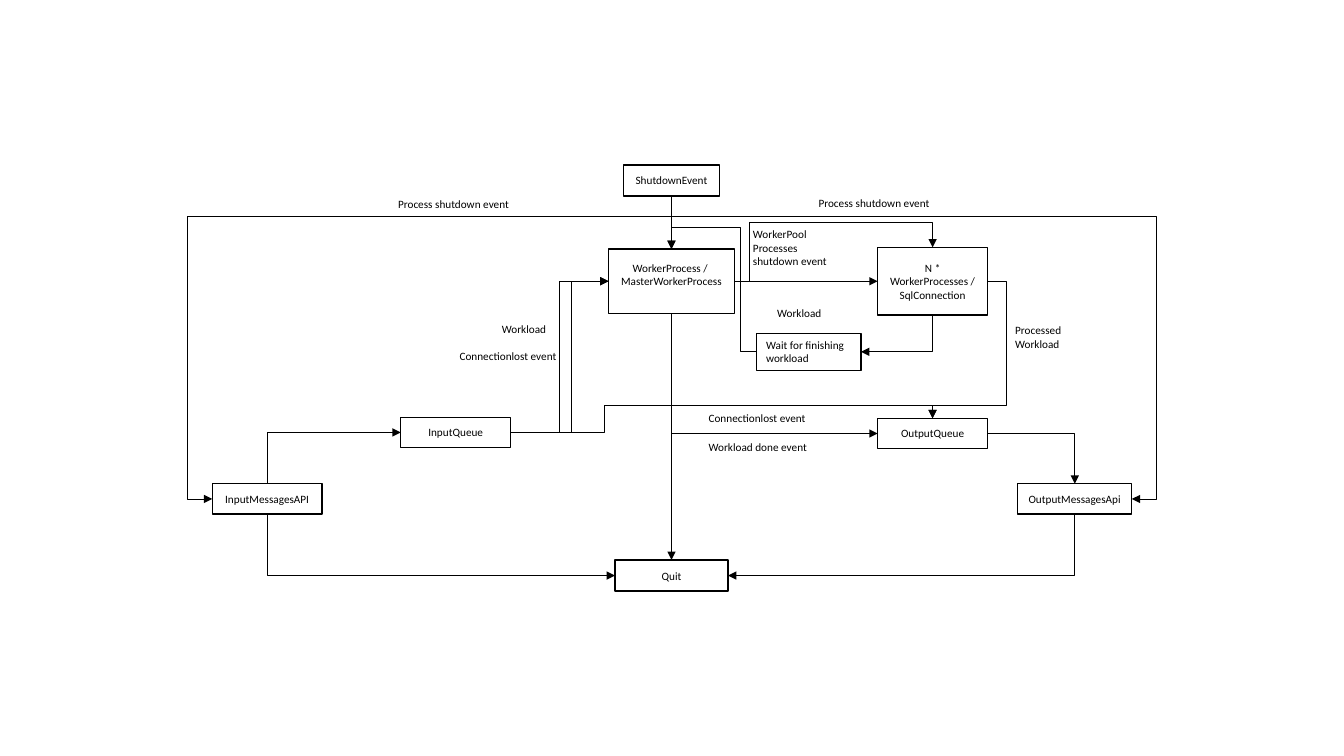
from pptx import Presentation, util as u
from pptx.dml.color import RGBColor
from pptx.enum import shapes, text
from pptx.oxml import ns, xmlchemy

BLACK = RGBColor(0, 0, 0)
WHITE = RGBColor(255, 255, 255)
CELL = u.Inches(0.1)  # the slide is a grid of 133.3 columns by 75 rows
TOP, LEFT, BOTTOM, RIGHT = range(4)  # connection sites of a rectangle

presentation = Presentation()
presentation.slide_width = u.Inches(13.33)
presentation.slide_height = u.Inches(7.5)
slide = presentation.slides.add_slide(presentation.slide_layouts[6])


def write(shape, wording, alignment, anchor):
    frame = shape.text_frame
    frame.word_wrap = True
    frame.vertical_anchor = anchor
    paragraph = frame.paragraphs[0]
    paragraph.alignment = alignment
    for number, line in enumerate(wording.split("\n")):
        if number:
            paragraph.add_line_break()
        run = paragraph.add_run()
        run.text = line
        run.font.size = u.Pt(8)
        run.font.name = "Calibri"
        run.font.color.rgb = BLACK


def connect(start, start_site, end, end_site, turns):
    """Arrow between two boxes; turns are the grid lines it bends on, None is straight."""
    kind = shapes.MSO_CONNECTOR.STRAIGHT if turns is None else shapes.MSO_CONNECTOR.ELBOW
    connector = slide.shapes.add_connector(kind, 0, 0, 0, 0)
    connector.begin_connect(start, start_site)
    connector.end_connect(end, end_site)
    connector.line.color.rgb = BLACK
    connector.line.width = u.Pt(0.5)
    properties = connector._element.spPr
    line = connector.line._get_or_add_ln()
    line.append(xmlchemy.OxmlElement("a:tailEnd"))
    line[-1].set("type", "triangle")
    properties.append(xmlchemy.OxmlElement("a:effectLst"))
    if turns is None:
        return

    # Measure along the first leg, then across it
    begin = [connector.begin_x, connector.begin_y]
    span = [connector.end_x - begin[0], connector.end_y - begin[1]]
    vertical = start_site in (TOP, BOTTOM)
    axes = (1, 0) if vertical else (0, 1)
    geometry = properties.find(ns.qn("a:prstGeom"))
    geometry.set("prst", f"bentConnector{len(turns) + 2}")
    guides = geometry.get_or_add_avLst()
    for number, (turn, axis) in enumerate(zip(turns, axes), 1):
        guide = xmlchemy.OxmlElement("a:gd")
        guide.set("name", f"adj{number}")
        guide.set("fmla", f"val {round((turn * CELL - begin[axis]) / span[axis] * 100000)}")
        guides.append(guide)

    # A connector that leaves vertically is a quarter turn of a horizontal one
    if vertical:
        width, height = abs(span[1]), abs(span[0])
        connector.left = round(begin[0] + span[0] / 2 - width / 2)
        connector.top = round(begin[1] + span[1] / 2 - height / 2)
        connector.width, connector.height = width, height
        frame = properties.find(ns.qn("a:xfrm"))
        frame.set("rot", "5400000")
        frame.set("flipH", str(int(span[1] < 0)))
        frame.set("flipV", str(int(span[0] > 0)))


# Boxes: centre column, centre row, width, height, wording
MIDDLE, POOL = 66.6, 92.5
boxes = {}
for name, column, row, width, height, wording in [
    ("worker", MIDDLE, 27.9, 12.5, 6.4, "WorkerProcess / \nMasterWorkerProcess"),
    ("shutdown", MIDDLE, 17.9, 9.5, 3.1, "ShutdownEvent"),
    ("input api", 26.5, 49.5, 10.9, 3, "InputMessagesAPI"),
    ("output api", 106.6, 49.5, 11.3, 3, "OutputMessagesApi"),
    ("output queue", POOL, 43, 10.9, 3, "OutputQueue"),
    ("input queue", 45.2, 42.9, 10.9, 3, "InputQueue"),
    ("pool", POOL, 27.9, 10.9, 6.7, "N * WorkerProcesses / SqlConnection"),
    ("quit", MIDDLE, 57.1, 11.2, 3.1, "Quit"),
    ("wait", 80.2, 34.9, 10.4, 3.7, "Wait for finishing workload"),
]:
    box = slide.shapes.add_shape(
        shapes.MSO_SHAPE.RECTANGLE, round((column - width / 2) * CELL),
        round((row - height / 2) * CELL), round(width * CELL), round(height * CELL))
    box.shadow.inherit = False
    box.line.color.rgb = BLACK
    if name == "wait":
        box.fill.background()
        box.line.width = u.Pt(0.75)
        write(box, wording, text.PP_ALIGN.LEFT, text.MSO_ANCHOR.TOP)
    else:
        box.fill.solid()
        box.fill.fore_color.rgb = WHITE
        box.line.width = u.Pt(1)
        write(box, wording, text.PP_ALIGN.CENTER, text.MSO_ANCHOR.MIDDLE)
    boxes[name] = box
boxes["worker"].text_frame.margin_bottom = u.Inches(0.18)

# Arrows: start, site, end, site, turns
for start, start_site, end, end_site, turns in [
    ("shutdown", BOTTOM, "input api", LEFT, [21.5, 18.6]),
    ("shutdown", BOTTOM, "worker", TOP, None),
    ("shutdown", BOTTOM, "output api", RIGHT, [21.5, 114.7]),
    ("input api", TOP, "input queue", LEFT, []),
    ("output queue", RIGHT, "output api", TOP, []),
    ("input api", BOTTOM, "quit", LEFT, []),
    ("output api", BOTTOM, "quit", RIGHT, []),
    ("input queue", RIGHT, "worker", LEFT, [55.5]),
    ("input queue", RIGHT, "worker", LEFT, [56.7]),
    ("input queue", RIGHT, "output queue", TOP, [60, 40.2]),
    ("worker", RIGHT, "pool", TOP, [74.3, 22.1]),
    ("worker", RIGHT, "pool", LEFT, None),
    ("worker", BOTTOM, "quit", TOP, None),
    ("worker", BOTTOM, "output queue", LEFT, []),
    ("pool", RIGHT, "output queue", TOP, [99.8, 40.2]),
    ("pool", BOTTOM, "wait", RIGHT, []),
    ("wait", LEFT, "worker", TOP, [73.4, 22.6]),
]:
    connect(boxes[start], start_site, boxes[end], end_site, turns)

# Labels: left column, top row, width, height, wording
for column, row, width, height, wording in [
    (80.2, 19, 13.1, 2.4, "Process shutdown event"),
    (38.5, 19.1, 13.3, 2.4, "Process shutdown event"),
    (73.7, 22.1, 10.7, 5, "WorkerPool Processes shutdown event"),
    (99.7, 31.6, 10.7, 3.7, "Processed Workload"),
    (69.3, 43.2, 12.4, 2.4, "Workload done event"),
    (48.8, 31.5, 10.7, 2.4, "Workload"),
    (76.1, 29.9, 10.7, 2.4, "Workload"),
    (69.3, 40.3, 12.4, 2.4, "Connectionlost event"),
    (44.6, 34.2, 12.4, 2.4, "Connectionlost event"),
]:
    label = slide.shapes.add_textbox(*(round(n * CELL) for n in (column, row, width, height)))
    write(label, wording, text.PP_ALIGN.LEFT, text.MSO_ANCHOR.TOP)

presentation.save("out.pptx")
